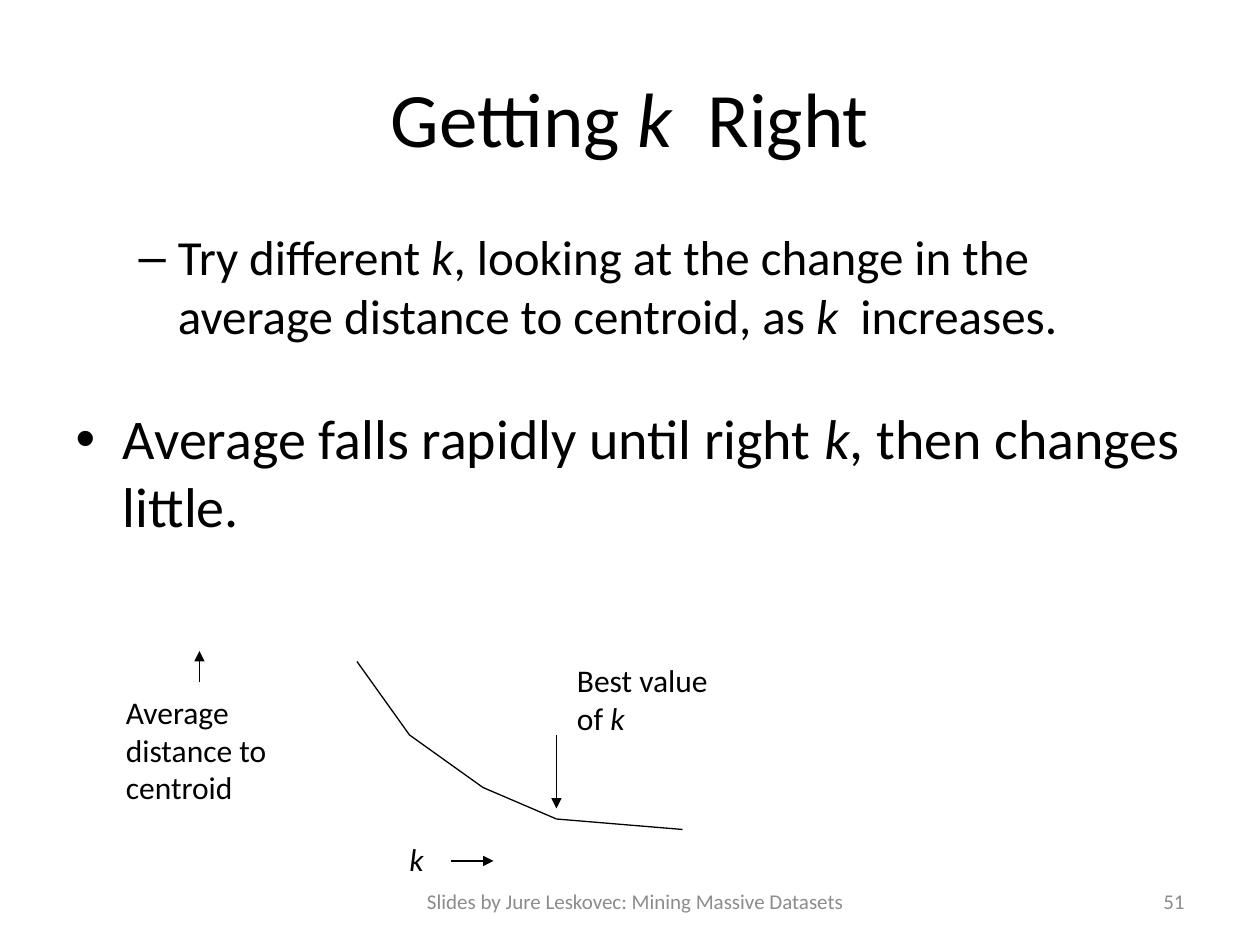
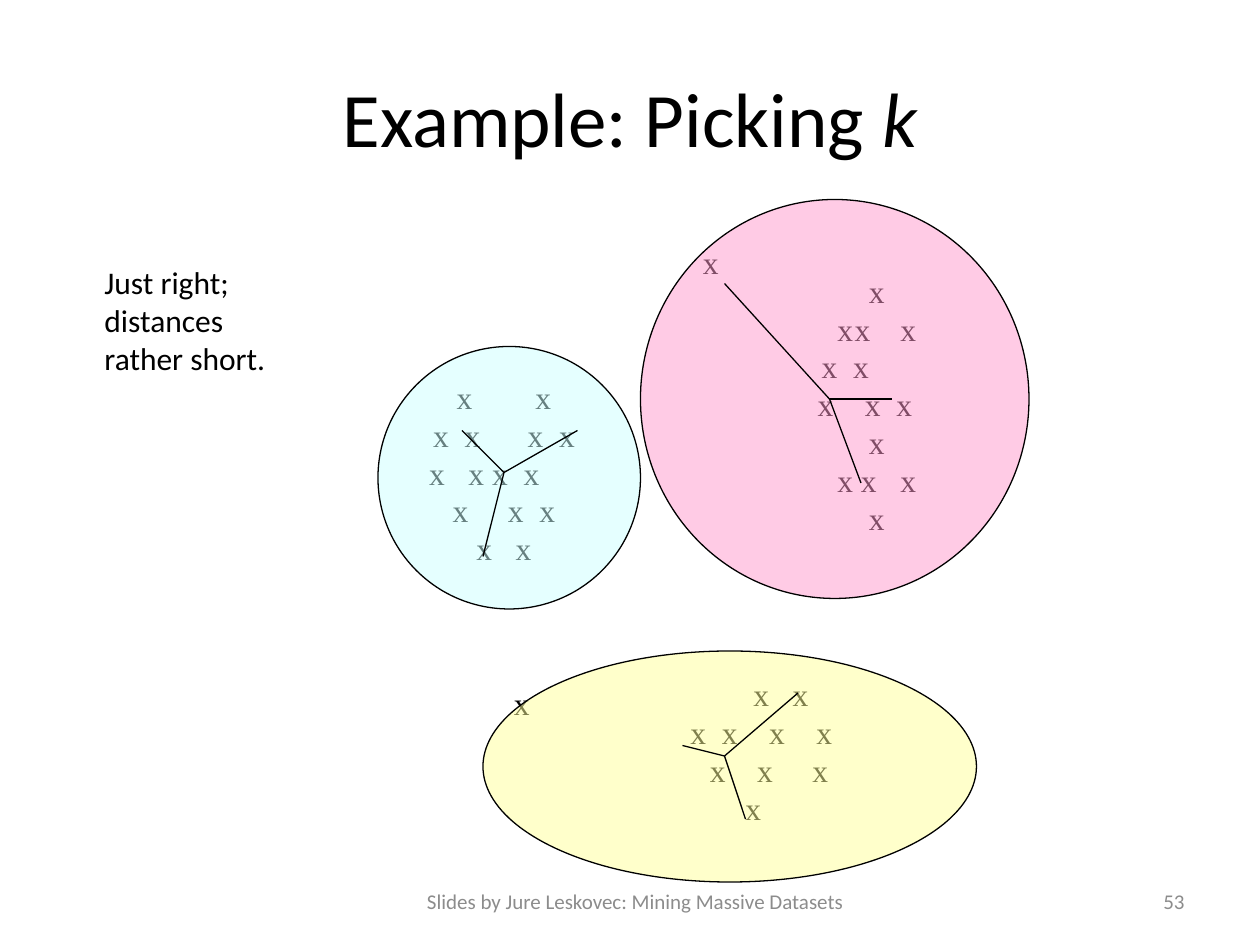
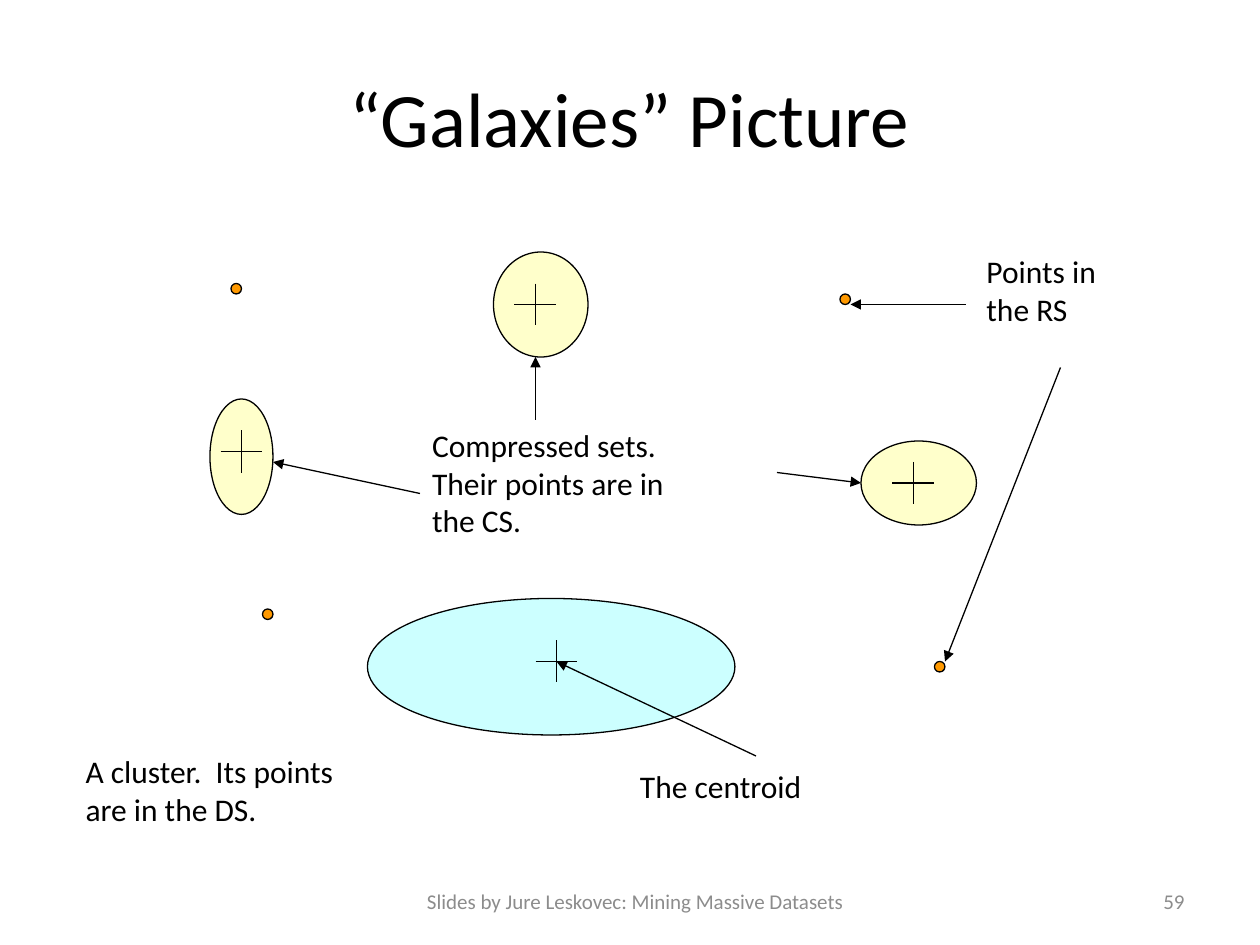
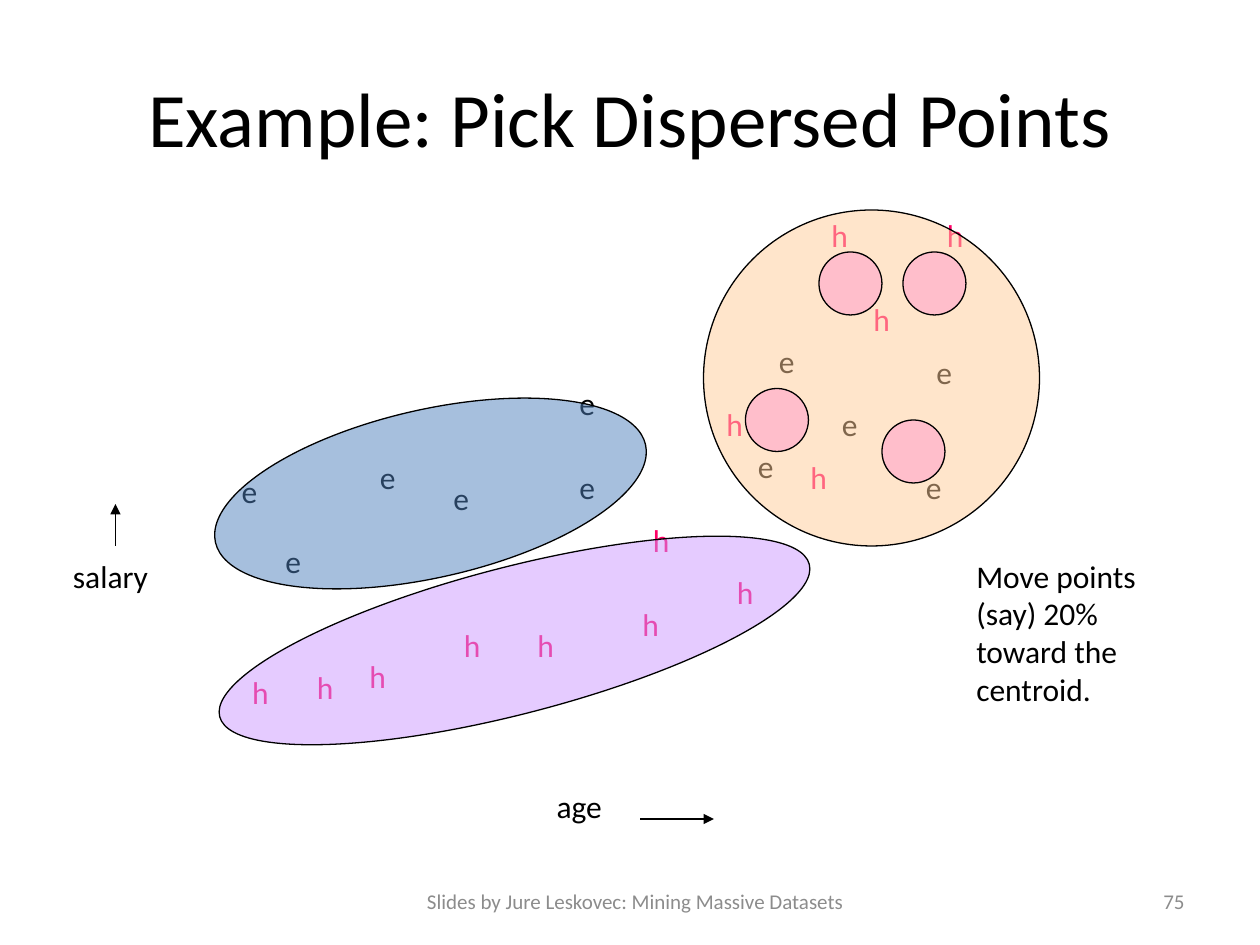
"""Four lecture slides on choosing k and on describing clusters."""
from dataclasses import dataclass
from math import sqrt
from typing import Optional

from lxml import etree
from pptx import Presentation
from pptx.dml.color import RGBColor
from pptx.enum.shapes import MSO_CONNECTOR, MSO_SHAPE
from pptx.enum.text import MSO_ANCHOR, MSO_AUTO_SIZE, PP_ALIGN
from pptx.oxml.ns import qn
from pptx.util import Pt

LEFT, CENTER, RIGHT = PP_ALIGN.LEFT, PP_ALIGN.CENTER, PP_ALIGN.RIGHT
MIDDLE = MSO_ANCHOR.MIDDLE
GROW = MSO_AUTO_SIZE.SHAPE_TO_FIT_TEXT
OVAL, STRAIGHT = MSO_SHAPE.OVAL, MSO_CONNECTOR.STRAIGHT

BLACK = RGBColor(0x00, 0x00, 0x00)
GREY = RGBColor(0x8C, 0x8C, 0x8C)
YELLOW = RGBColor(0xFF, 0xFF, 0x99)
CYAN = RGBColor(0xCC, 0xFF, 0xFF)
PINK = RGBColor(0xFF, 0x99, 0xCC)
ORANGE = RGBColor(0xFF, 0x99, 0x00)
PEACH = RGBColor(0xFF, 0xCC, 0x99)
BLUE = RGBColor(0x4F, 0x81, 0xBD)
VIOLET = RGBColor(0xCC, 0x99, 0xFF)
RED = RGBColor(0xFF, 0x00, 0x66)

SANS, SERIF = "Calibri", "Times New Roman"
TITLE_SIZE, LABEL_SIZE, FOOTER_SIZE = 44, 18, 12
FOOTER = "Slides by Jure Leskovec: Mining Massive Datasets"
LINE_WIDTH = 0.75
LETTER_WIDTH = 27
HALF_X = LABEL_SIZE / 4  # half the width of a serif "x"
BODY_LAYOUT, TITLE_ONLY = 1, 5


@dataclass(frozen=True)
class Oval:
    """An outlined ellipse; alpha is its opacity in percent."""
    x: float
    y: float
    w: float
    h: float
    color: RGBColor
    alpha: int = 50
    rotation: float = 0


@dataclass(frozen=True)
class Label:
    """A text box that grows around its lines."""
    x: float
    y: float
    w: float
    lines: tuple
    color: RGBColor = BLACK
    font: str = SANS


@dataclass(frozen=True)
class PointCloud:
    """Rows of x marks, placed in half letters from the middle of the box."""
    x: float
    y: float
    w: float
    h: float
    rows: tuple


def style_run(r, size: float, color: RGBColor = BLACK, font: str = SANS) -> None:
    """Set size, colour and typeface of a run."""
    r.font.size, r.font.name = Pt(size), font
    r.font.color.rgb = color


def write(p, text: str, size: float, color: RGBColor = BLACK, font: str = SANS,
          align: Optional[PP_ALIGN] = None) -> None:
    """Fill a paragraph; text between asterisks becomes italic."""
    p.alignment = align
    for i, part in enumerate(text.split("*")):
        if part:
            r = p.add_run()
            r.text = part
            style_run(r, size, color, font)
            if i % 2:
                r.font.italic = True


def add_label(shapes, label: Label) -> None:
    """Draw a growing text box with one paragraph per line."""
    height = 7.2 + 28.8 * len(label.lines)
    sp = shapes.add_textbox(Pt(label.x), Pt(label.y), Pt(label.w), Pt(height))
    tf = sp.text_frame
    tf.word_wrap, tf.auto_size = False, GROW
    for i, line in enumerate(label.lines):
        p = tf.add_paragraph() if i else tf.paragraphs[0]
        write(p, line, LABEL_SIZE, label.color, label.font, LEFT)


def add_footer(shapes, x: float, w: float, text: str, align: PP_ALIGN) -> None:
    """Draw one part of the footer line."""
    tf = shapes.add_textbox(Pt(x), Pt(500.4), Pt(w), Pt(28.8)).text_frame
    tf.word_wrap, tf.vertical_anchor = True, MIDDLE
    write(tf.paragraphs[0], text, FOOTER_SIZE, GREY, align=align)


def add_slide(prs, title: str, number: int, layout: int = TITLE_ONLY):
    """Add a slide with its title, footer and page number."""
    slide = prs.slides.add_slide(prs.slide_layouts[layout])
    sp = slide.shapes.title
    sp.left, sp.top, sp.width, sp.height = Pt(36), Pt(21.6), Pt(648), Pt(90)
    sp.text_frame.vertical_anchor = MIDDLE
    write(sp.text_frame.paragraphs[0], title, TITLE_SIZE, align=CENTER)
    add_footer(slide.shapes, 216, 294, FOOTER, CENTER)
    add_footer(slide.shapes, 516, 168, str(number), RIGHT)
    return slide


def add_group(slide):
    """Start a group and return its shapes."""
    return slide.shapes.add_group_shape().shapes


def add_line(shapes, start: tuple, end: tuple, arrow: bool = False) -> None:
    """Draw a thin line, with an arrowhead at its end if asked."""
    line = shapes.add_connector(STRAIGHT, *map(Pt, start + end))
    line.line.color.rgb, line.line.width = BLACK, Pt(LINE_WIDTH)
    if arrow:
        ln = line.line._get_or_add_ln()
        etree.SubElement(ln, qn("a:tailEnd"), type="triangle")
    etree.SubElement(line._element.spPr, qn("a:effectLst"))


def add_cross(shapes, x: float, y: float, arm: float = 12) -> None:
    """Mark a centroid with a plus sign."""
    add_line(shapes, (x, y - arm), (x, y + arm))
    add_line(shapes, (x - arm, y), (x + arm, y))


def add_oval(shapes, oval: Oval) -> None:
    """Draw an outlined ellipse, see-through below 100 percent."""
    sp = shapes.add_shape(OVAL, Pt(oval.x), Pt(oval.y), Pt(oval.w), Pt(oval.h))
    sp.shadow.inherit = False
    sp.rotation = oval.rotation
    sp.fill.solid()
    sp.fill.fore_color.rgb = oval.color
    sp.line.color.rgb, sp.line.width = BLACK, Pt(LINE_WIDTH)
    if oval.alpha < 100:
        color = sp._element.spPr.find(qn("a:solidFill")).find(qn("a:srgbClr"))
        etree.SubElement(color, qn("a:alpha"), val=str(oval.alpha * 1000))


def add_cloud(shapes, cloud: PointCloud) -> None:
    """Draw rows of x marks in an unfilled ellipse, one tab stop per mark."""
    sp = shapes.add_shape(OVAL, Pt(cloud.x), Pt(cloud.y), Pt(cloud.w), Pt(cloud.h))
    sp.shadow.inherit = False
    sp.fill.background()
    sp.line.fill.background()
    tf = sp.text_frame
    tf.word_wrap, tf.vertical_anchor = True, MIDDLE
    tf.margin_left = tf.margin_right = 0
    middle = cloud.w / sqrt(8)  # half the text width inside an ellipse
    for i, row in enumerate(cloud.rows):
        p = tf.add_paragraph() if i else tf.paragraphs[0]
        write(p, "\tx" * len(row), LABEL_SIZE, font=SERIF, align=LEFT)
        tabs = etree.SubElement(p._p.get_or_add_pPr(), qn("a:tabLst"))
        for offset in row:
            pos = Pt(middle + offset * HALF_X)
            etree.SubElement(tabs, qn("a:tab"), pos=str(pos), algn="l")


def build_getting_k_right(prs) -> None:
    """Explain the choice of k with a falling curve."""
    slide = add_slide(prs, "Getting *k*  Right", 51, BODY_LAYOUT)
    sp = slide.placeholders[1]
    sp.left, sp.top, sp.width, sp.height = Pt(36), Pt(126), Pt(648), Pt(356.4)
    tf = sp.text_frame
    p = tf.paragraphs[0]
    p.level = 1
    write(p, "Try different *k*, looking at the change in the average distance "
             "to centroid, as *k*  increases.", 28)
    p = tf.add_paragraph()
    p.space_before = Pt(34)
    write(p, "Average falls rapidly until right *k*, then changes little.", 32)

    curve = add_group(slide)
    points = [(204, 378), (234, 420), (276, 450), (318, 468), (390, 474)]
    for start, end in zip(points, points[1:]):
        add_line(curve, start, end)
    add_label(curve, Label(226.8, 476.6, LETTER_WIDTH, ("*k*",)))
    add_label(curve, Label(64.8, 392.4, 130.3, ("Average", "distance to", "centroid")))
    add_line(curve, (114, 390), (114, 372), arrow=True)
    add_line(curve, (258, 492), (282, 492), arrow=True)

    best = add_group(slide)
    add_label(best, Label(322.6, 374.4, 123.8, ("Best value", "of *k*")))
    add_line(best, (318, 420), (318, 462), arrow=True)


def build_picking_k(prs) -> None:
    """Show three clusters with short distances to their centroids."""
    slide = add_slide(prs, "Example: Picking *k*", 53)
    clouds = [
        PointCloud(216, 180, 144, 180, (
            (-6, 4), (-9, -5, 3, 7), (-9.5, -4.5, -1.5, 2.5),
            (-6.5, 0.5, 4.5), (-3.5, 1.5))),
        PointCloud(432, 120, 138, 222, (
            (-1,), (-5, -2.8, 3), (-7, -3), (-7.5, -1.5, 2.5),
            (-1,), (-5, -2, 3), (-1,))),
        PointCloud(360, 366, 150, 126, (
            (-1, 4), (-9, -5, 1, 7), (-6.5, -0.5, 6.5), (-2,))),
    ]
    for cloud in clouds:
        add_cloud(slide.shapes, cloud)
    for x, y in [(394.6, 135.4), (286.6, 387.4)]:
        add_label(slide.shapes, Label(x, y, LETTER_WIDTH, ("x",), font=SERIF))
    for oval in [Oval(276, 372, 282, 132, YELLOW), Oval(216, 198, 150, 150, CYAN),
                 Oval(366, 114, 222, 228, PINK)]:
        add_oval(slide.shapes, oval)

    distances = add_group(slide)
    spokes = {
        (288, 270): [(264, 246), (330, 246), (276, 318)],
        (414, 432): [(390, 426), (456, 396), (426, 468)],
        (474, 228): [(414, 162), (510, 228), (492, 276)],
    }
    for centroid, ends in spokes.items():
        for end in ends:
            add_line(distances, centroid, end)
    add_label(distances, Label(52.6, 146.9, 146.9,
                               ("Just right;", "distances", "rather short.")))


def build_galaxies(prs) -> None:
    """Show a cluster, compressed sets and retained points."""
    slide = add_slide(prs, "\u201cGalaxies\u201d Picture", 59)

    cluster = add_group(slide)
    add_oval(cluster, Oval(210, 342, 210, 78, CYAN, 100))
    add_label(cluster, Label(41.8, 426.2, 227.5,
                             ("A cluster.  Its points", "are in the DS.")))
    add_cross(cluster, 318, 378)
    add_label(cluster, Label(358.6, 434.9, 147.6, ("The centroid",)))
    add_line(cluster, (432, 432), (318, 378), arrow=True)

    compressed = add_group(slide)
    for oval in [Oval(120, 228, 36, 66, YELLOW), Oval(492, 252, 66, 48, YELLOW),
                 Oval(282, 144, 54, 60, YELLOW)]:
        add_oval(compressed, oval)
    for x, y in [(138, 258), (522, 276), (306, 174)]:
        add_cross(compressed, x, y)
    add_label(compressed, Label(239.8, 239.8, 208, (
        "Compressed sets.", "Their points are in", "the CS.")))
    for start, end in [((240, 282), (156, 264)), ((306, 240), (306, 204)),
                       ((444, 270), (492, 276))]:
        add_line(compressed, start, end, arrow=True)

    retained = add_group(slide)
    for x, y in [(132, 162), (150, 348), (534, 378), (480, 168)]:
        add_oval(retained, Oval(x, y, 6, 6, ORANGE, 100))
    add_label(retained, Label(556.6, 140.4, 104.4, ("Points in", "the RS")))
    add_line(retained, (552, 174), (486, 174), arrow=True)
    add_line(retained, (606, 210), (540, 378), arrow=True)


def build_dispersed_points(prs) -> None:
    """Show clusters of e and h points, with representatives moved inwards."""
    slide = add_slide(prs, "Example: Pick Dispersed Points", 75)
    shapes = slide.shapes
    e_points = [(131, 266.4), (252, 270), (324, 216), (426, 252), (438, 192),
                (528, 198), (156, 306), (210, 258), (324, 264), (474, 228),
                (522, 264)]
    h_points = [(137, 381), (408, 228), (414, 324), (456, 258), (492, 168),
                (534, 120), (258, 354), (300, 354), (366, 294), (360, 342),
                (468, 120), (174, 378), (204, 372)]
    for letter, color, points in [("e", BLACK, e_points), ("h", RED, h_points)]:
        for x, y in points:
            add_label(shapes, Label(x, y, LETTER_WIDTH, (letter,), color))

    add_label(shapes, Label(34.6, 314.6, 76.3, ("salary",)))
    add_label(shapes, Label(311, 446.4, 53.3, ("age",)))
    add_line(shapes, (366, 468), (408, 468), arrow=True)
    add_line(shapes, (66, 312), (66, 288), arrow=True)

    for oval in [Oval(120, 234, 252, 96, BLUE, rotation=347.2),
                 Oval(402, 120, 192, 192, PEACH),
                 Oval(120, 324, 348, 84, VIOLET, rotation=345.5)]:
        add_oval(shapes, oval)
    for x, y in [(468, 144), (516, 144), (426, 222), (504, 240)]:
        add_oval(shapes, Oval(x, y, 36, 36, PINK))
    add_label(shapes, Label(550.8, 314.6, 141.8, (
        "Move points", "(say) 20%", "toward the", "centroid.")))


def main() -> None:
    """Build and save the presentation."""
    prs = Presentation()
    prs.slide_width, prs.slide_height = Pt(720), Pt(540)
    build_getting_k_right(prs)
    build_picking_k(prs)
    build_galaxies(prs)
    build_dispersed_points(prs)
    prs.save("out.pptx")


main()
